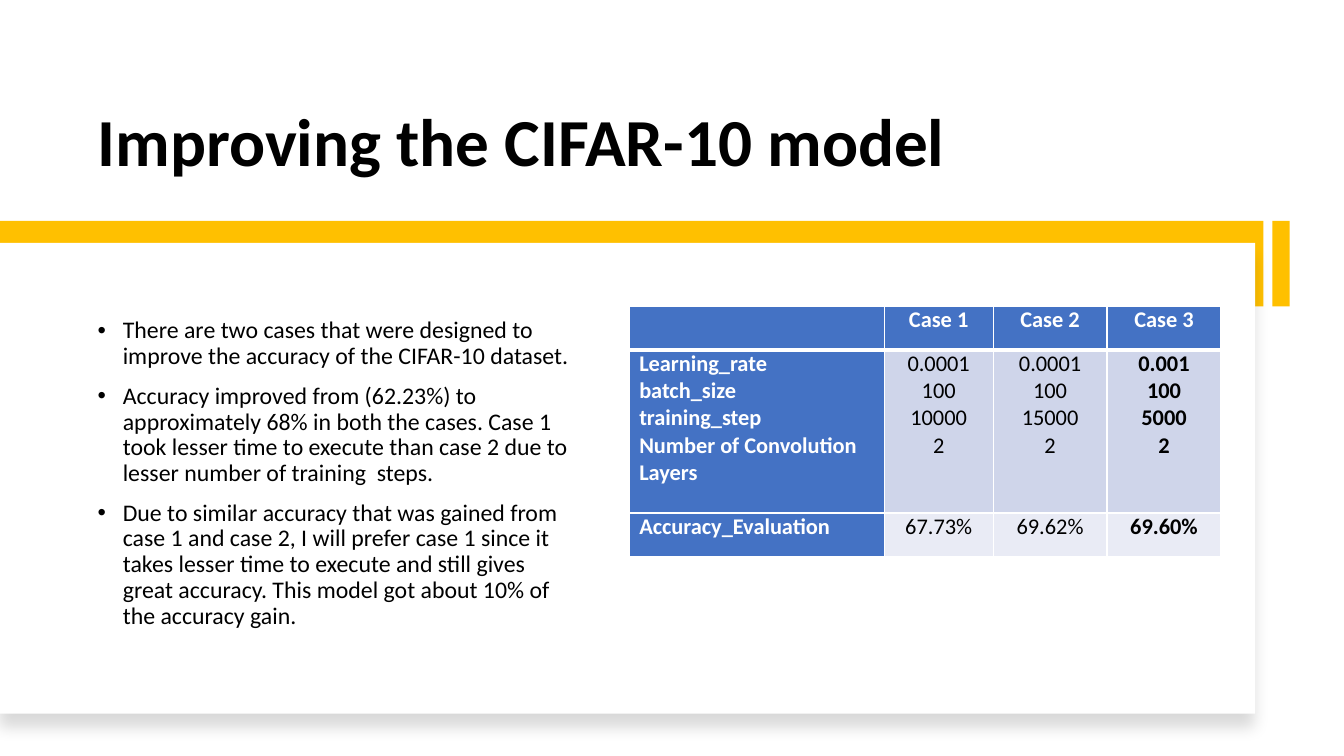
import pptx
import pptx.util
import pptx.dml.color
import pptx.enum.shapes
import pptx.enum.text
import pptx.oxml
import pptx.oxml.ns
from lxml import etree

Inches = pptx.util.Inches
Pt = pptx.util.Pt
RGBColor = pptx.dml.color.RGBColor
Align = pptx.enum.text.PP_ALIGN
Anchor = pptx.enum.text.MSO_ANCHOR
qn = pptx.oxml.ns.qn

FONT = "Calibri"
BLACK = RGBColor(0x00, 0x00, 0x00)
WHITE = RGBColor(0xFF, 0xFF, 0xFF)
GOLD = RGBColor(0xFF, 0xC0, 0x00)
BLUE = RGBColor(0x44, 0x72, 0xC4)
PALE_BLUE = RGBColor(0xCF, 0xD5, 0xEA)
PALEST_BLUE = RGBColor(0xE9, 0xEB, 0xF5)

BULLETS = [
    "There are two cases that were designed to improve the accuracy of the CIFAR-10 dataset.",
    "Accuracy improved from (62.23%) to approximately 68% in both the cases. Case 1 took "
    "lesser time to execute than case 2 due to lesser number of training  steps.",
    "Due to similar accuracy that was gained from case 1 and case 2, I will prefer case 1 "
    "since it takes lesser time to execute and still gives great accuracy. This model got "
    "about 10% of the accuracy gain.",
]

COLUMN_WIDTHS = [2.53, 1.08, 1.13, 1.13]
ROW_HEIGHTS = [0.43, 1.62, 0.43]
ROW_FILLS = [BLUE, PALE_BLUE, PALEST_BLUE]
# Each cell holds a list of lines
CASES = [
    [[], ["Case 1"], ["Case 2"], ["Case 3"]],
    [["Learning_rate", "batch_size", "training_step", "Number of Convolution Layers"],
     ["0.0001", "100", "10000", "2"],
     ["0.0001", "100", "15000", "2"],
     ["0.001", "100", "5000", "2"]],
    [["Accuracy_Evaluation"], ["67.73%"], ["69.62%"], ["69.60%"]],
]


def add_child(parent, tag, **attributes):
    child = etree.SubElement(parent, qn(tag))
    for name, value in attributes.items():
        child.set(name, str(value))
    return child


def write_text(frame, lines, size, color=BLACK, bold=False, align=Align.LEFT,
               line_spacing=None, gap=None, bullet=False):
    for index, line in enumerate(lines):
        para = frame.paragraphs[0] if index == 0 else frame.add_paragraph()
        if bullet:
            properties = para._p.get_or_add_pPr()
            properties.set("marL", str(Inches(0.25)))
            properties.set("indent", str(Inches(-0.25)))
            add_child(properties, "a:buFont", typeface="Arial")
            add_child(properties, "a:buChar", char="•")
        para.alignment = align
        if line_spacing:
            para.line_spacing = line_spacing
        if gap and index > 0:
            para.space_before = Pt(gap)
        span = para.add_run()
        span.text = line
        span.font.name = FONT
        span.font.size = Pt(size)
        span.font.bold = bold
        span.font.color.rgb = color


def add_text_box(page, left, top, width, height, lines, anchor, bottom_inset=0.05, **style):
    box = page.shapes.add_textbox(Inches(left), Inches(top), Inches(width), Inches(height))
    frame = box.text_frame
    frame.word_wrap = True
    frame.vertical_anchor = anchor
    frame.margin_bottom = Inches(bottom_inset)
    write_text(frame, lines, **style)


def add_block(page, left, top, width, height, fill):
    block = page.shapes.add_shape(pptx.enum.shapes.MSO_SHAPE.RECTANGLE, Inches(left),
                                  Inches(top), Inches(width), Inches(height))
    block.shadow.inherit = False
    block.fill.solid()
    block.fill.fore_color.rgb = fill
    block.line.fill.background()
    return block


def drop_shadow(block):
    effects = block._element.spPr.find(qn("a:effectLst"))
    shadow = add_child(effects, "a:outerShdw", blurRad=Pt(11), dist=Pt(10),
                       dir=90 * 60000, algn="t", rotWithShape=0)
    color = add_child(shadow, "a:srgbClr", val=BLACK)
    add_child(color, "a:alpha", val=15000)


def set_borders(cell, **weights):
    properties = cell._tc.get_or_add_tcPr()
    for index, side in enumerate("LRTB"):
        line = add_child(properties, f"a:ln{side}", w=Pt(weights.get(side, 1)))
        add_child(add_child(line, "a:solidFill"), "a:srgbClr", val=WHITE)
        properties.insert(index, line)


def add_case_table(page, left, top):
    table = page.shapes.add_table(
        len(ROW_HEIGHTS), len(COLUMN_WIDTHS), Inches(left), Inches(top),
        Inches(sum(COLUMN_WIDTHS)), Inches(sum(ROW_HEIGHTS))).table
    table.horz_banding = False
    for column, width in zip(table.columns, COLUMN_WIDTHS):
        column.width = Inches(width)
    for row, height in zip(table.rows, ROW_HEIGHTS):
        row.height = Inches(height)

    last_column = len(COLUMN_WIDTHS) - 1
    for row_index, row in enumerate(CASES):
        for column_index, lines in enumerate(row):
            cell = table.cell(row_index, column_index)
            heading = row_index == 0 or column_index == 0
            cell.fill.solid()
            cell.fill.fore_color.rgb = BLUE if heading else ROW_FILLS[row_index]
            cell.margin_top = cell.margin_bottom = 0
            # A heavier rule separates the header from the body
            set_borders(cell, T=3 if row_index == 1 else 1, B=3 if row_index == 0 else 1)
            write_text(cell.text_frame, lines, size=16,
                       color=WHITE if heading else BLACK,
                       bold=heading or column_index == last_column,
                       align=Align.LEFT if column_index == 0 else Align.CENTER)


def main():
    deck = pptx.Presentation()
    deck.slide_width = Inches(13.33)
    deck.slide_height = Inches(7.5)
    page = deck.slides.add_slide(deck.slide_layouts[6])

    # Title
    add_text_box(page, 0.87, 0.42, 11.01, 1.42, ["Improving the CIFAR-10 model"],
                 Anchor.BOTTOM, size=48, bold=True, line_spacing=0.9)

    # Gold band with the white panel over it
    add_block(page, 0, 2.19, 12.53, 0.85, GOLD)
    drop_shadow(add_block(page, 0, 2.41, 12.45, 4.67, WHITE))

    # Findings
    add_text_box(page, 0.87, 2.84, 4.96, 3.98, BULLETS, Anchor.MIDDLE, bottom_inset=0.31,
                 size=17, line_spacing=0.9, gap=10, bullet=True)

    # Gold accent at the end of the band
    add_block(page, 12.28, 2.53, 0.85, 0.17, GOLD).rotation = 90

    # Comparison of the cases
    add_case_table(page, 6.24, 3.04)

    deck.save("out.pptx")


if __name__ == "__main__":
    main()
